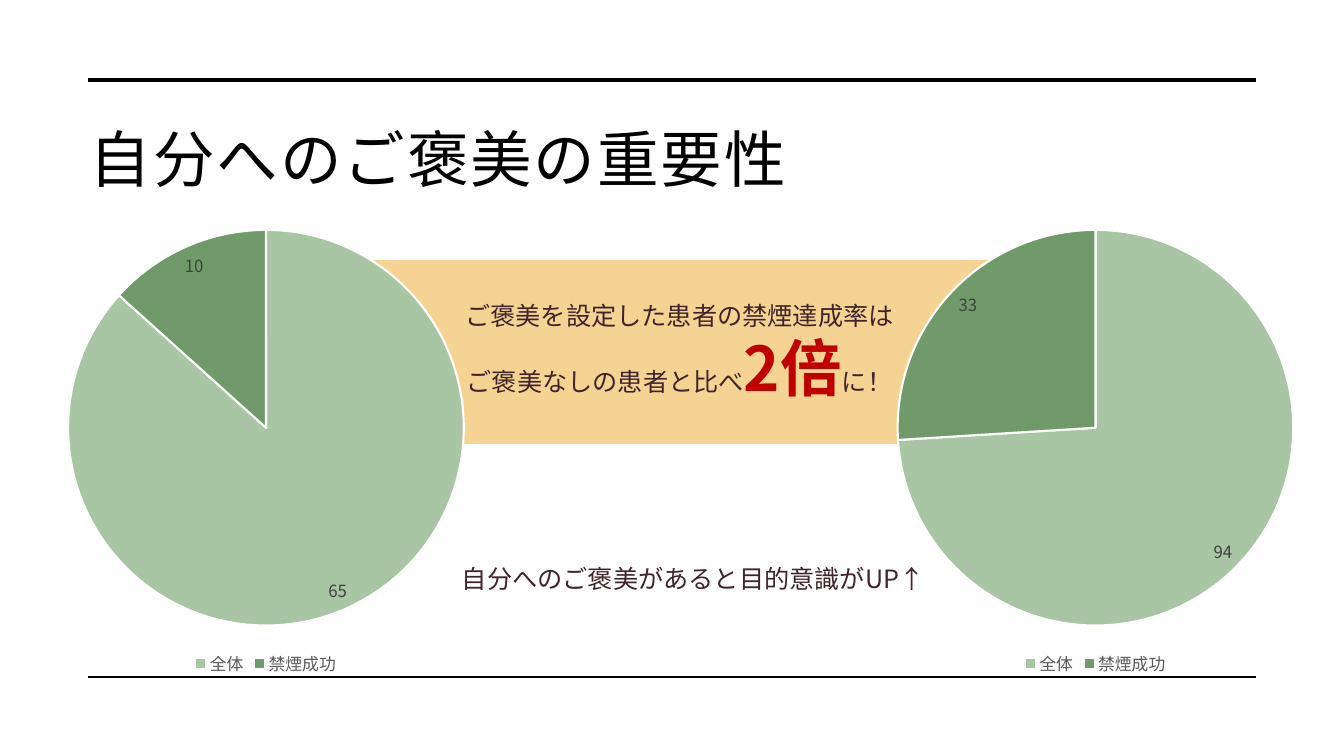
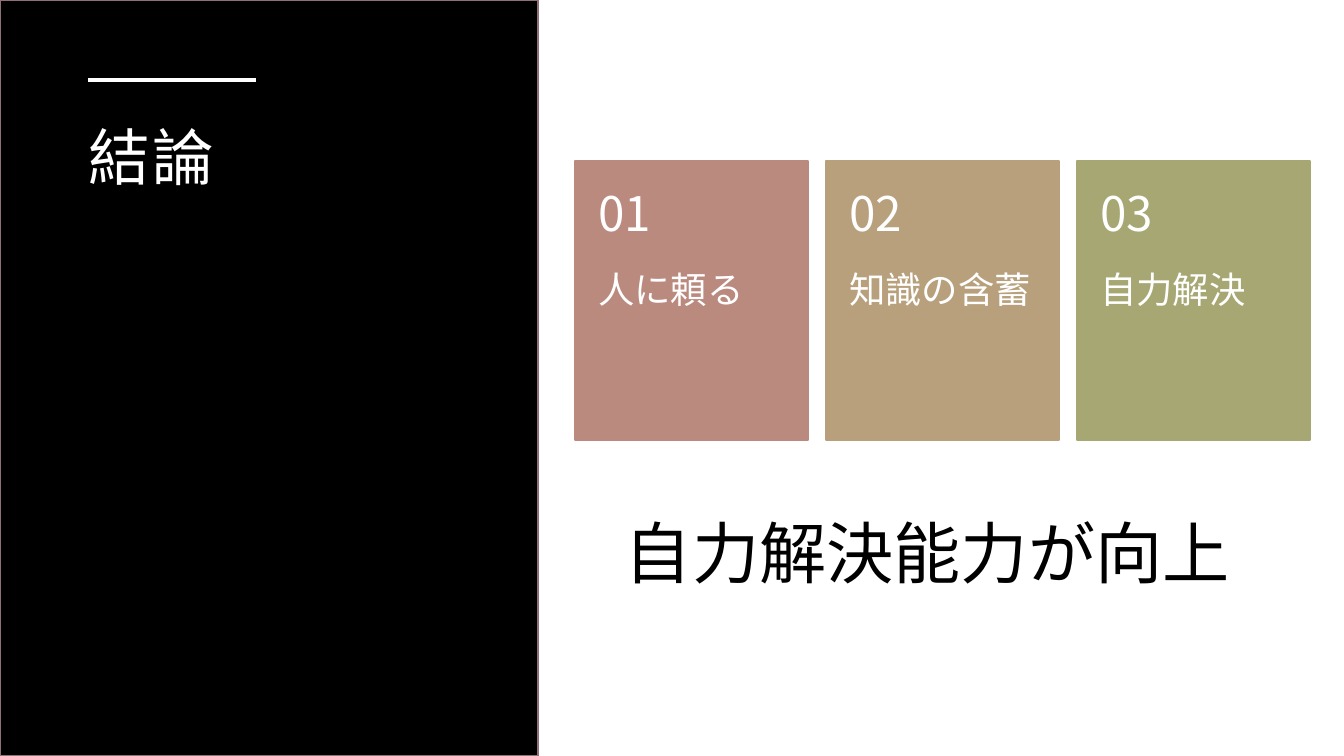
from dataclasses import dataclass

from lxml.etree import SubElement
from pptx import Presentation
from pptx.chart.data import CategoryChartData
from pptx.dml.color import RGBColor
from pptx.enum.chart import XL_CHART_TYPE, XL_LABEL_POSITION, XL_LEGEND_POSITION
from pptx.enum.shapes import MSO_CONNECTOR, MSO_SHAPE
from pptx.enum.text import MSO_ANCHOR, MSO_AUTO_SIZE, PP_ALIGN
from pptx.oxml.ns import qn
from pptx.util import Emu, Pt

# Shared style
SLIDE_WIDTH, SLIDE_HEIGHT = 1344, 756
EMU_PER_PX = 914400 / 100.8
FONT = "Noto Sans CJK JP"
BLACK, WHITE, PLUM, RED = "000000", "FFFFFF", "41242B", "C00000"
LEGEND_GREY, LABEL_GREY = "595959", "404040"
SLICE_COLORS = ("A8C5A4", "719A6A")
RULE_LEFT, RULE_RIGHT, RULE_TOP, RULE_BOTTOM = 88, 1256, 80, 677
TITLE_INSETS = (12, 12, 12, 10)
TEXT_INSETS = (10, 5, 10, 5)


@dataclass(frozen=True)
class Box:
    left: int
    top: int
    width: int
    height: int


@dataclass(frozen=True)
class Span:
    text: str
    size: int = 18
    color: str = PLUM
    bold: bool = False
    spacing: int = 0


@dataclass(frozen=True)
class Pie:
    box: Box
    values: tuple


@dataclass(frozen=True)
class Card:
    number: str
    caption: str
    color: str


PIES = (
    Pie(Box(-25, 216, 582, 464), (65, 10)),
    Pie(Box(787, 216, 617, 464), (94, 33)),
)
CARDS = (
    Card("01", "人に頼る", "BA8A7F"),
    Card("02", "知識の含蓄", "B8A07C"),
    Card("03", "自力解決", "A6A772"),
)
CARD_LEFT, CARD_TOP, CARD_WIDTH, CARD_GAP = 575, 161, 233, 18
NUMBER_HEIGHT, CAPTION_HEIGHT = 111, 168


# Helpers
def px(length: int) -> Emu:
    return Emu(round(length * EMU_PER_PX))


def rgb(color: str) -> RGBColor:
    return RGBColor.from_string(color)


def frame(box: Box) -> tuple:
    return px(box.left), px(box.top), px(box.width), px(box.height)


def apply(target, values: dict) -> None:
    for name, value in values.items():
        setattr(target, name, value)


def style_font(font, size: int, color: str, bold: bool = False) -> None:
    apply(font, {"size": Pt(size), "name": FONT, "bold": bold})
    font.color.rgb = rgb(color)


def write(shape, lines: tuple, insets: tuple = TEXT_INSETS,
          anchor=MSO_ANCHOR.TOP, align=PP_ALIGN.LEFT,
          line_spacing: float = 1.0, grow: bool = False) -> None:
    text_frame = shape.text_frame
    left, top, right, bottom = (px(inset) for inset in insets)
    fit = MSO_AUTO_SIZE.SHAPE_TO_FIT_TEXT if grow else MSO_AUTO_SIZE.NONE
    apply(text_frame, {
        "margin_left": left, "margin_top": top,
        "margin_right": right, "margin_bottom": bottom,
        "word_wrap": True, "auto_size": fit, "vertical_anchor": anchor,
    })
    for index, spans in enumerate(lines):
        para = text_frame.add_paragraph() if index else text_frame.paragraphs[0]
        apply(para, {"alignment": align, "line_spacing": line_spacing})
        for span in spans:
            run = para.add_run()
            run.text = span.text
            style_font(run.font, span.size, span.color, span.bold)
            properties = run._r.get_or_add_rPr()
            SubElement(properties, qn("a:ea")).set("typeface", FONT)
            if span.spacing:
                properties.set("spc", str(span.spacing))


def add_text(page, box: Box, lines: tuple, **layout) -> None:
    write(page.shapes.add_textbox(*frame(box)), lines, **layout)


def add_title(page, box: Box, text: str, color: str) -> None:
    title = page.shapes.title
    left, top, width, height = frame(box)
    apply(title, {"left": left, "top": top, "width": width, "height": height})
    write(title, ((Span(text, 44, color, spacing=130),),),
          insets=TITLE_INSETS, line_spacing=1.1)
    # Bring the title in front of whatever is already drawn
    page.shapes._spTree.append(title._element)


def add_rectangle(page, box: Box, fill: str, line: str = ""):
    shape = page.shapes.add_shape(MSO_SHAPE.RECTANGLE, *frame(box))
    shape.shadow.inherit = False
    shape.fill.solid()
    shape.fill.fore_color.rgb = rgb(fill)
    if line:
        shape.line.color.rgb = rgb(line)
        shape.line.width = Pt(1)
    else:
        shape.line.fill.background()
    return shape


def add_rule(page, top: int, right: int, color: str, weight: float) -> None:
    rule = page.shapes.add_connector(
        MSO_CONNECTOR.STRAIGHT, px(RULE_LEFT), px(top), px(right), px(top))
    rule.line.color.rgb = rgb(color)
    rule.line.width = Pt(weight)
    SubElement(rule._element.spPr, qn("a:effectLst"))


def add_pie(page, pie: Pie) -> None:
    data = CategoryChartData()
    data.categories = ("全体", "禁煙成功")
    data.add_series("Series 1", pie.values)
    chart = page.shapes.add_chart(
        XL_CHART_TYPE.PIE, *frame(pie.box), data).chart
    apply(chart, {"has_title": False, "has_legend": True})
    style_font(chart.font, 10, BLACK)
    apply(chart.legend, {"position": XL_LEGEND_POSITION.BOTTOM,
                         "include_in_layout": False})
    style_font(chart.legend.font, 12, LEGEND_GREY)
    plot = chart.plots[0]
    apply(plot, {"vary_by_categories": True, "has_data_labels": True})
    apply(plot.data_labels, {"show_value": True, "show_percentage": False,
                             "position": XL_LABEL_POSITION.BEST_FIT})
    style_font(plot.data_labels.font, 12, LABEL_GREY)
    for index, color in enumerate(SLICE_COLORS):
        slice_format = plot.series[0].points[index].format
        slice_format.fill.solid()
        slice_format.fill.fore_color.rgb = rgb(color)
        slice_format.line.color.rgb = rgb(WHITE)
        slice_format.line.width = Pt(1.5)


def add_card(page, left: int, card: Card) -> None:
    number_box = Box(left, CARD_TOP, CARD_WIDTH, NUMBER_HEIGHT)
    caption_box = Box(left, CARD_TOP + NUMBER_HEIGHT, CARD_WIDTH, CAPTION_HEIGHT)
    card_box = Box(left, CARD_TOP, CARD_WIDTH, NUMBER_HEIGHT + CAPTION_HEIGHT)
    add_rectangle(page, card_box, card.color, card.color)
    add_text(page, caption_box, ((Span(card.caption, 26, WHITE),),),
             insets=(23, 0, 23, 36), line_spacing=0.9)
    add_text(page, number_box, ((Span(card.number, 34, WHITE),),),
             insets=(23, 18, 23, 18), anchor=MSO_ANCHOR.MIDDLE,
             line_spacing=0.9)


# Slides
def build_reward_page(page) -> None:
    add_rule(page, RULE_TOP, RULE_RIGHT, BLACK, 3.5)
    add_rule(page, RULE_BOTTOM, RULE_RIGHT, BLACK, 1)
    banner = add_rectangle(page, Box(265, 260, 829, 184), "F5D493")
    write(banner, (
        (Span("ご褒美を設定した患者の禁煙達成率は"),),
        (Span("ご褒美なしの患者と比べ"), Span("2倍", 44, RED, True), Span("に！")),
    ), anchor=MSO_ANCHOR.MIDDLE, align=PP_ALIGN.CENTER)
    add_title(page, Box(78, 102, 1178, 151), "自分へのご褒美の重要性", BLACK)
    for pie in PIES:
        add_pie(page, pie)
    add_text(page, Box(452, 558, 671, 40),
             ((Span("自分へのご褒美があると目的意識がUP↑"),),), grow=True)


def build_conclusion_page(page) -> None:
    add_rectangle(page, Box(0, 0, 538, SLIDE_HEIGHT), BLACK, "926F77")
    add_title(page, Box(77, 100, 410, 404), "結論", WHITE)
    add_rule(page, RULE_TOP, 256, WHITE, 3.5)
    for index, card in enumerate(CARDS):
        add_card(page, CARD_LEFT + index * (CARD_WIDTH + CARD_GAP), card)
    add_text(page, Box(615, 506, 656, 92),
             ((Span("自力解決能力が向上", 48, BLACK),),), grow=True)


def main() -> None:
    deck = Presentation()
    apply(deck, {"slide_width": px(SLIDE_WIDTH), "slide_height": px(SLIDE_HEIGHT)})
    title_only = deck.slide_layouts[5]
    for build in (build_reward_page, build_conclusion_page):
        build(deck.slides.add_slide(title_only))
    deck.save("out.pptx")


if __name__ == "__main__":
    main()
